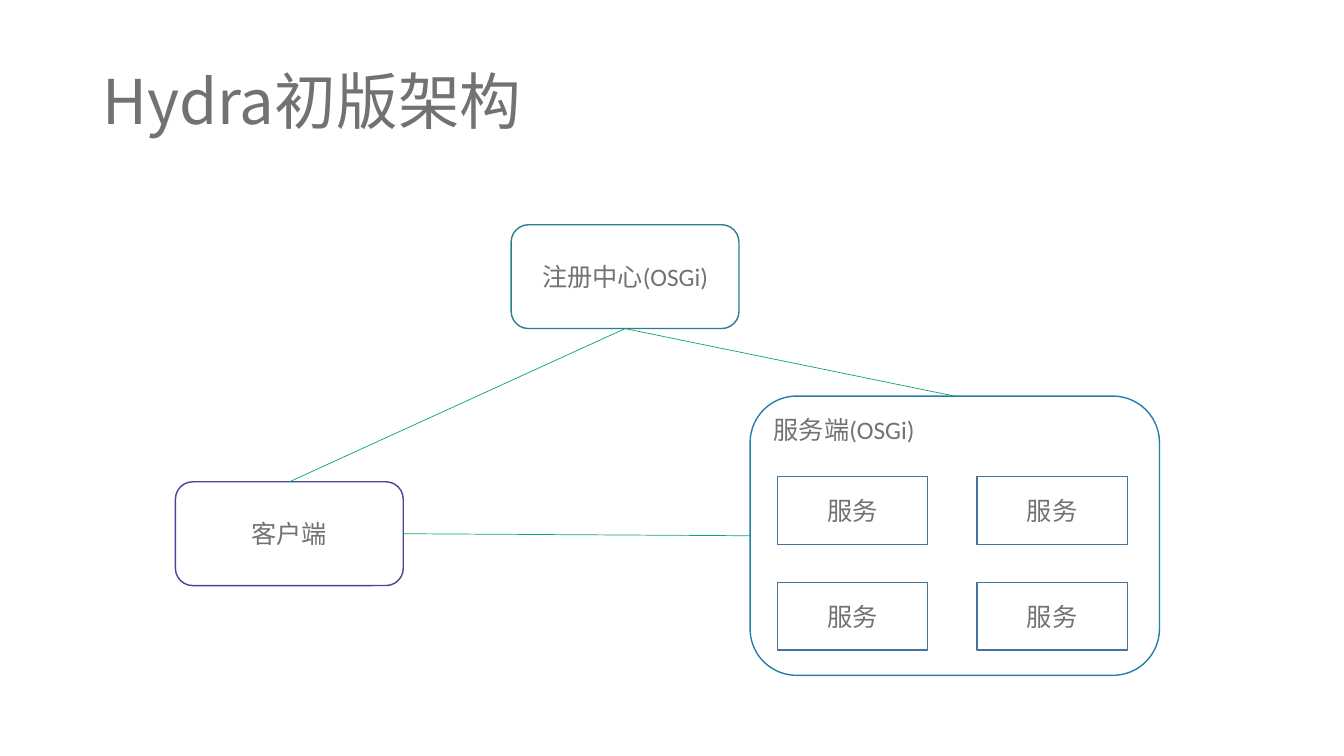
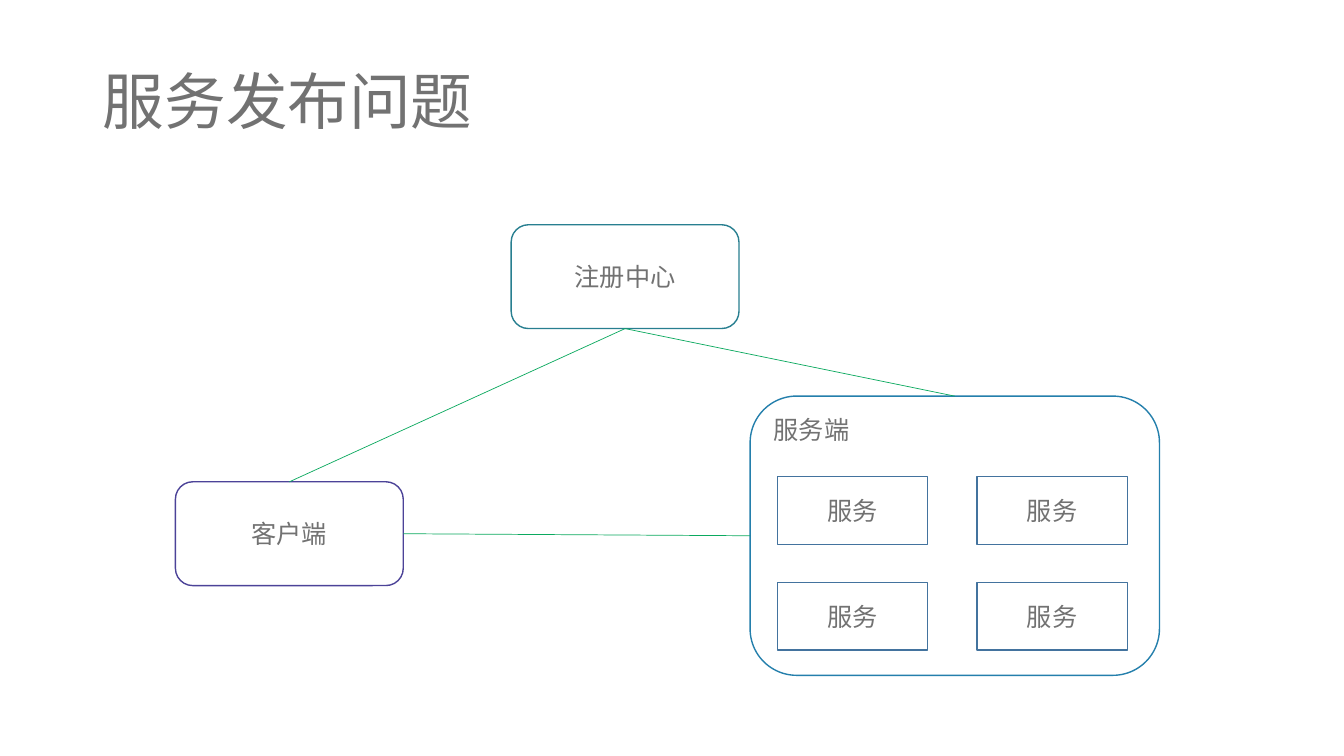
import pptx
import pptx.util
import pptx.dml.color
import pptx.enum.shapes
import pptx.enum.text
import pptx.oxml
import pptx.oxml.ns

Inches, Pt = pptx.util.Inches, pptx.util.Pt
Kind = pptx.enum.shapes.MSO_SHAPE
Anchor = pptx.enum.text.MSO_ANCHOR
Align = pptx.enum.text.PP_ALIGN

THEME = {
    "ink": "727272", "server": "247FAC", "client": "4C4398",
    "center": "287F90", "service": "43739E", "link": "0BA95F",
    "latin": "Calibri", "asian": "Noto Sans CJK SC",
    "title": 44, "label": 18, "edge": 1, "thin": 0.5,
}

SLIDES = [
    {"title": "Hydra初版架构", "server": "服务端(OSGi)",
     "client": "客户端", "center": "注册中心(OSGi)"},
    {"title": "服务发布问题", "server": "服务端",
     "client": "客户端", "center": "注册中心"},
]
SERVICE = "服务"

TITLE = (0.92, 0.31, 11.5, 1.45)
NODES = {
    "server": (7.44, 3.93, 4.06, 2.77),
    "client": (1.74, 4.78, 2.26, 1.03),
    "center": (5.07, 2.23, 2.26, 1.03),
}
GRID = {"left": 7.71, "top": 4.73, "dx": 1.98, "dy": 1.05, "size": (1.49, 0.67)}

# Connection sites run anticlockwise from the top
TOP, LEFT, BOTTOM, RIGHT = range(4)
LINKS = [
    ("client", RIGHT, "server", LEFT),
    ("client", TOP, "center", BOTTOM),
    ("center", BOTTOM, "server", TOP),
]


def color(name):
    return pptx.dml.color.RGBColor.from_string(THEME[name])


def apply(target, **values):
    for name, value in values.items():
        setattr(target, name, value)


def place(shape, box):
    sides = ("left", "top", "width", "height")
    apply(shape, **dict(zip(sides, map(Inches, box))))


def write(shape, text, size, latin, align, anchor):
    frame = shape.text_frame
    apply(frame, word_wrap=True, vertical_anchor=anchor,
          auto_size=pptx.enum.text.MSO_AUTO_SIZE.NONE)
    para = frame.paragraphs[0]
    para.alignment = align
    run = para.add_run()
    run.text = text
    apply(run.font, name=THEME[latin], size=Pt(THEME[size]))
    run.font.color.rgb = color("ink")
    asian = pptx.oxml.parse_xml(
        f'<a:ea {pptx.oxml.ns.nsdecls("a")} typeface="{THEME["asian"]}"/>')
    run.font._element.find(pptx.oxml.ns.qn("a:latin")).addnext(asian)
    return para


def add_box(slide, kind, box, text, tone, align=Align.CENTER, anchor=Anchor.MIDDLE):
    shape = slide.shapes.add_shape(kind, *map(Inches, box))
    shape.shadow.inherit = False
    shape.fill.background()
    apply(shape.line, width=Pt(THEME["edge"]))
    shape.line.color.rgb = color(tone)
    write(shape, text, "label", "latin", align, anchor)
    return shape


def add_link(slide, start, exit, end, entry):
    link = slide.shapes.add_connector(
        pptx.enum.shapes.MSO_CONNECTOR.STRAIGHT, 0, 0, 0, 0)
    link.begin_connect(start, exit)
    link.end_connect(end, entry)
    link.line.width = Pt(THEME["thin"])
    link.line.color.rgb = color("link")
    link._element.spPr.append(pptx.oxml.parse_xml(
        f'<a:effectLst {pptx.oxml.ns.nsdecls("a")}/>'))


def add_slide(deck, layout, texts):
    slide = deck.slides.add_slide(layout)
    title = write(slide.shapes.title, texts["title"], "title", "asian",
                  Align.LEFT, Anchor.MIDDLE)
    title.line_spacing = 0.9

    nodes = {}
    for name, box in NODES.items():
        corner = (Align.LEFT, Anchor.TOP) if name == "server" else ()
        nodes[name] = add_box(slide, Kind.ROUNDED_RECTANGLE, box,
                              texts[name], name, *corner)
    for start, exit, end, entry in LINKS:
        add_link(slide, nodes[start], exit, nodes[end], entry)

    for index in range(4):
        row, col = divmod(index, 2)
        spot = (GRID["left"] + col * GRID["dx"], GRID["top"] + row * GRID["dy"])
        add_box(slide, Kind.RECTANGLE, spot + GRID["size"], SERVICE, "service")


def main():
    deck = pptx.Presentation()
    apply(deck, slide_width=Inches(13.33), slide_height=Inches(7.5))
    layout = deck.slide_layouts.get_by_name("Title Only")
    place(layout.placeholders[0], TITLE)
    for texts in SLIDES:
        add_slide(deck, layout, texts)
    deck.save("out.pptx")


if __name__ == "__main__":
    main()
